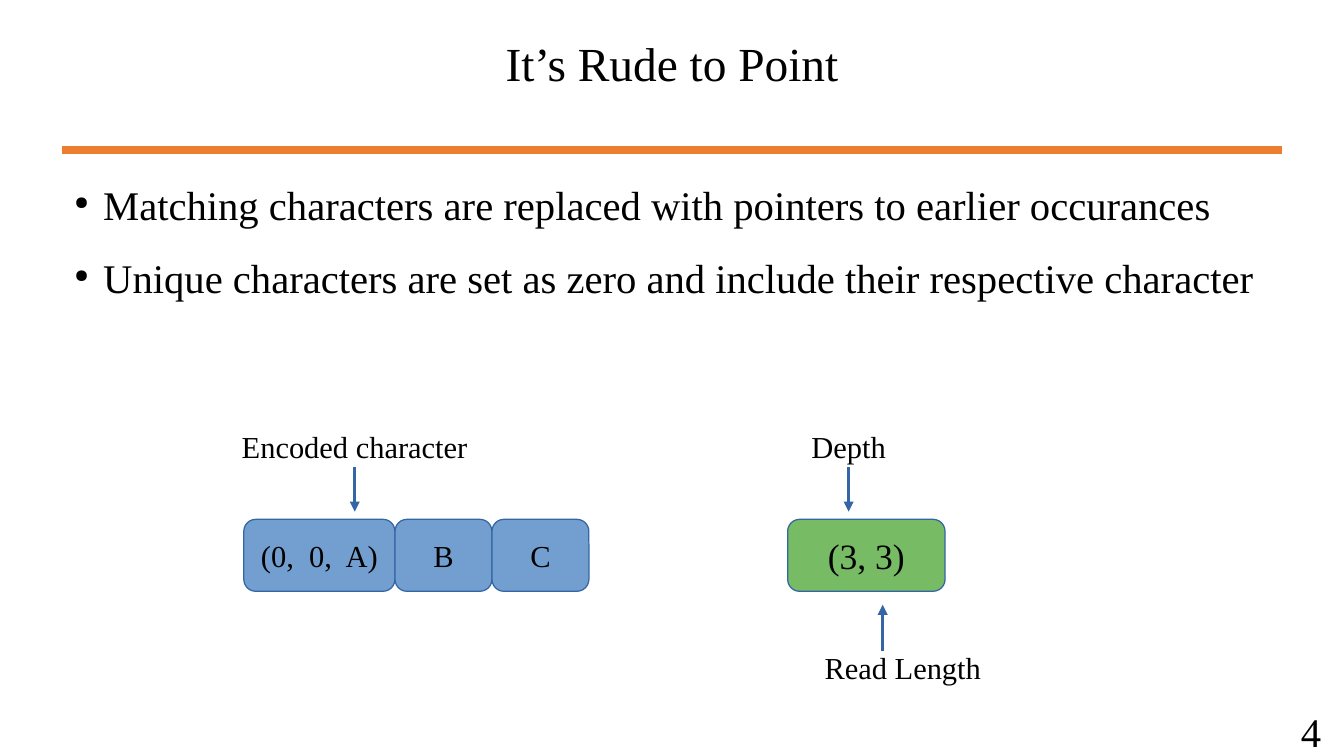
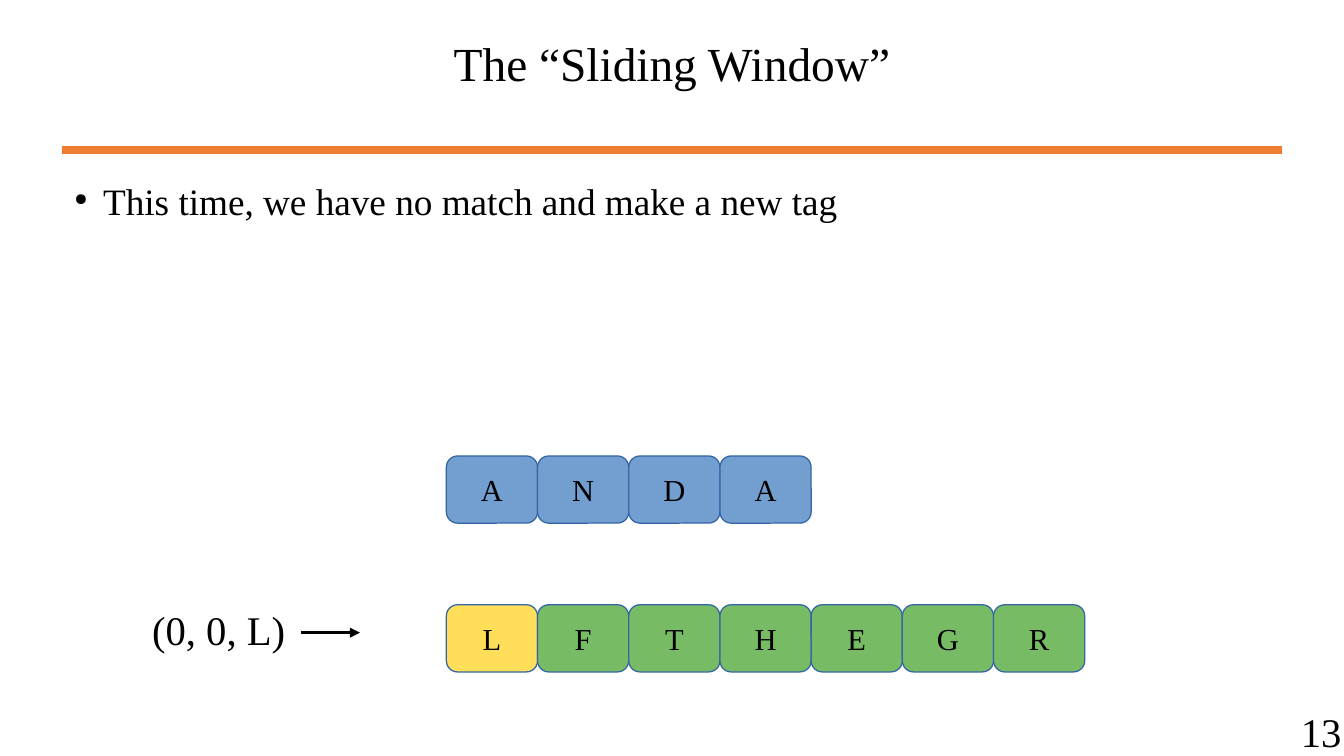
from dataclasses import dataclass
from typing import NamedTuple

from lxml.etree import SubElement
from pptx import Presentation
from pptx.dml.color import RGBColor
from pptx.enum.shapes import MSO_CONNECTOR, MSO_SHAPE
from pptx.enum.text import MSO_ANCHOR, PP_ALIGN
from pptx.oxml.ns import qn
from pptx.shapes.base import BaseShape
from pptx.shapes.connector import Connector
from pptx.slide import Slide
from pptx.text.text import _Paragraph as Para
from pptx.util import Cm, Pt


@dataclass(frozen=True)
class Theme:
    font: str = "Times New Roman"
    ink: str = "000000"
    rule: str = "ED7D31"
    edge: str = "3465A4"
    blue: str = "729FCF"
    green: str = "77BC65"
    gold: str = "FFDE59"
    title: int = 28
    body: int = 24
    small: int = 22
    pair: int = 21
    label: int = 18
    lead: float = 1.5
    bullet: str = "●"
    dot: int = 45000


class Box(NamedTuple):
    """A frame in centimetres."""
    left: float
    top: float
    width: float
    height: float


class Tile(NamedTuple):
    text: str
    fill: str
    width: float


THEME = Theme()
WIDE, HIGH = 28, 15.75
TITLE = Box(2.55, 0, 22.9, 2.54)
BODY = Box(1.3, 3.12, 25.35, 3.84)
PAGE = Box(26.85, 14.6, WIDE - 26.85, 1.15)
EDGE = 1.3
RULE = 3.12


def style(para: Para, size: int, align: PP_ALIGN) -> None:
    para.alignment = align
    para.font.name = THEME.font
    para.font.size = Pt(size)
    para.font.color.rgb = RGBColor.from_string(THEME.ink)


def dot(para: Para) -> None:
    """Give the paragraph a small round bullet with a hanging indent."""
    props = para._p.get_or_add_pPr()
    props.set("marL", str(Cm(0.6)))
    props.set("indent", str(-Cm(0.6)))
    tint = SubElement(props, qn("a:buClr"))
    SubElement(tint, qn("a:srgbClr"), val=THEME.ink)
    SubElement(props, qn("a:buSzPct"), val=str(THEME.dot))
    SubElement(props, qn("a:buChar"), char=THEME.bullet)


def write(slide: Slide, box: Box, lines: list[str], size: int,
          align: PP_ALIGN = PP_ALIGN.LEFT, lead: float | None = None,
          dots: bool = False) -> BaseShape:
    shape = slide.shapes.add_textbox(*map(Cm, box))
    frame = shape.text_frame
    frame.word_wrap = True
    frame.margin_right = 0 if align == PP_ALIGN.LEFT else frame.margin_left
    frame.text = "\n".join(lines)
    for para in frame.paragraphs:
        if lead:
            para.line_spacing = lead
        if dots:
            dot(para)
        style(para, size, align)
    return shape


def line(slide: Slide, start: tuple[float, float], end: tuple[float, float],
         color: str, width: float, head: bool = False) -> Connector:
    link = slide.shapes.add_connector(
        MSO_CONNECTOR.STRAIGHT, *map(Cm, (*start, *end)))
    link.line.color.rgb = RGBColor.from_string(color)
    link.line.width = Pt(width)
    if head:
        SubElement(link.line._get_or_add_ln(), qn("a:tailEnd"),
                   type="triangle")
    SubElement(link._element.spPr, qn("a:effectLst"))
    return link


def arrow(slide: Slide, start: tuple[float, float], end: tuple[float, float],
          color: str = THEME.edge) -> Connector:
    return line(slide, start, end, color, 1.5, head=True)


def caption(slide: Slide, text: str, mid: float, top: float) -> BaseShape:
    """Write a label centred on the given x."""
    wide = 6
    return write(slide, Box(mid - wide / 2, top, wide, 0.94), [text],
                 THEME.label, PP_ALIGN.CENTER)


def row(slide: Slide, left: float, top: float, height: float,
        tiles: list[Tile], size: int = THEME.label) -> None:
    """Set rounded tiles side by side."""
    for tile in tiles:
        shape = slide.shapes.add_shape(
            MSO_SHAPE.ROUNDED_RECTANGLE,
            *map(Cm, (left, top, tile.width, height)))
        shape.shadow.inherit = False
        shape.fill.solid()
        shape.fill.fore_color.rgb = RGBColor.from_string(tile.fill)
        shape.line.color.rgb = RGBColor.from_string(THEME.edge)
        shape.line.width = 0
        frame = shape.text_frame
        frame.vertical_anchor = MSO_ANCHOR.MIDDLE
        frame.text = tile.text
        style(frame.paragraphs[0], size, PP_ALIGN.CENTER)
        left += tile.width


def base(deck: Presentation, title: str, page: int, points: list[str],
         size: int) -> Slide:
    """Add a slide with title, rule, bullets and page number."""
    slide = deck.slides.add_slide(deck.slide_layouts[6])
    line(slide, (EDGE, RULE), (WIDE - EDGE, RULE), THEME.rule, 4.5)
    write(slide, TITLE, [title], THEME.title, PP_ALIGN.CENTER, THEME.lead)
    write(slide, PAGE, [str(page)], THEME.body)
    write(slide, BODY, points, size, lead=THEME.lead, dots=True)
    return slide


def point(deck: Presentation) -> None:
    slide = base(deck, "It’s Rude to Point", 4, [
        "Matching characters are replaced with pointers to earlier occurances",
        "Unique characters are set as zero and include their respective "
        "character",
    ], THEME.body)
    top, high = 10.82, 1.5
    row(slide, 5.08, top, high, [Tile("(0,  0,  A)", THEME.blue, 3.15),
                                 Tile("B", THEME.blue, 2.02),
                                 Tile("C", THEME.blue, 2.02)])
    row(slide, 16.41, top, high, [Tile("(3, 3)", THEME.green, 3.28)],
        THEME.pair)
    for text, mid in (("Encoded character", 7.39), ("Depth", 17.68)):
        label = caption(slide, text, mid, 8.79)
        arrow(slide, (mid, 9.7), (mid, 10.66)).begin_connect(label, 2)
    caption(slide, "Read Length", 18.81, 13.39)
    arrow(slide, (18.39, 13.56), (18.39, 12.6))


def window(deck: Presentation) -> None:
    slide = base(deck, "The “Sliding Window”", 13,
                 ["This time, we have no match and make a new tag"],
                 THEME.small)
    left, wide, high = 9.3, 1.9, 1.4
    row(slide, left, 9.5, high, [Tile(c, THEME.blue, wide) for c in "ANDA"])
    row(slide, left, 12.6, high, [
        Tile(c, THEME.gold if c == "L" else THEME.green, wide)
        for c in "LFTHEGR"])
    tag = write(slide, Box(2.92, 12.47, 3.35, 1.42), ["(0, 0, L)"],
                THEME.body)
    arrow(slide, (6.27, 13.18), (7.5, 13.18), THEME.ink).begin_connect(tag, 3)


def main() -> None:
    deck = Presentation()
    deck.slide_width, deck.slide_height = Cm(WIDE), Cm(HIGH)
    point(deck)
    window(deck)
    deck.save("out.pptx")


if __name__ == "__main__":
    main()
